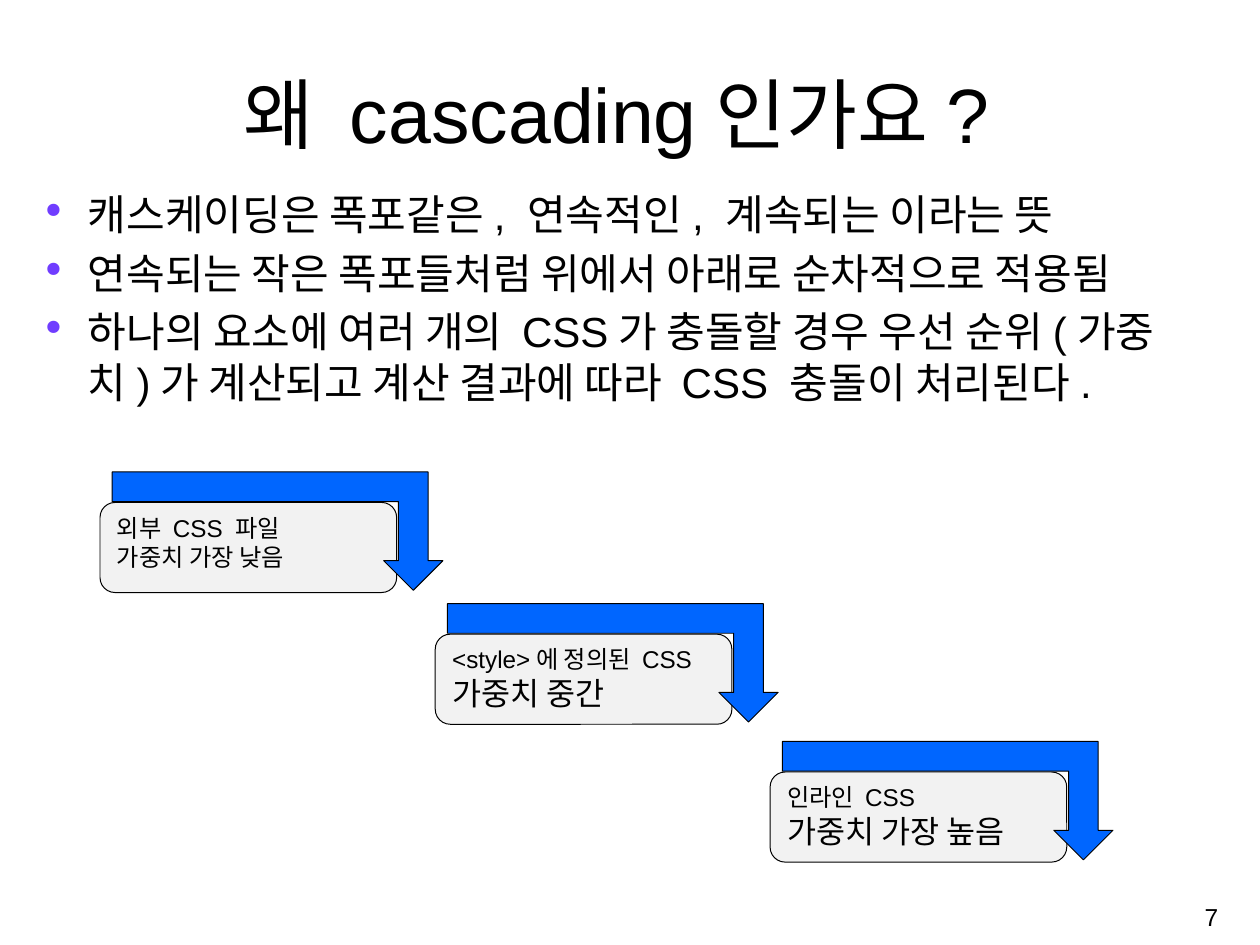
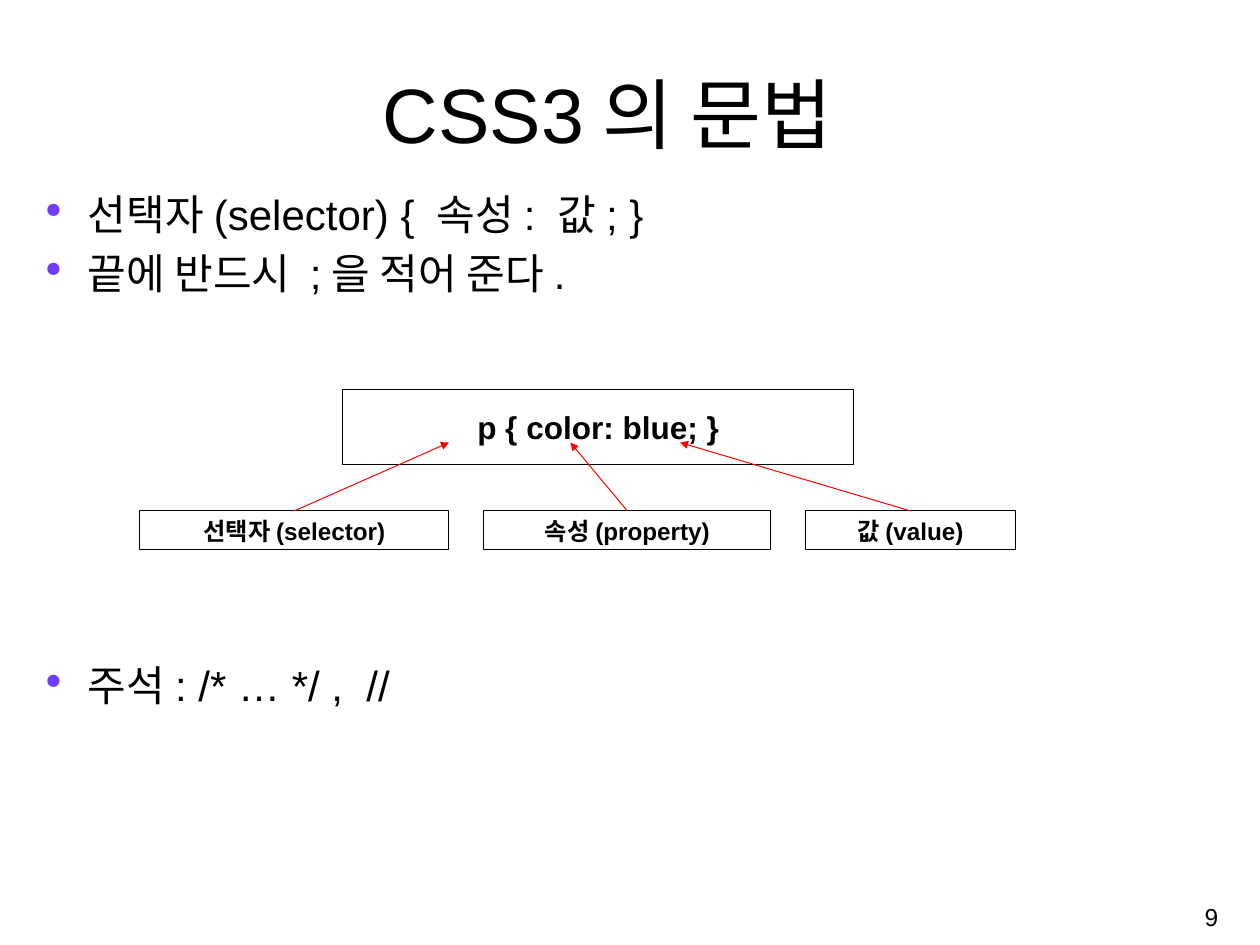
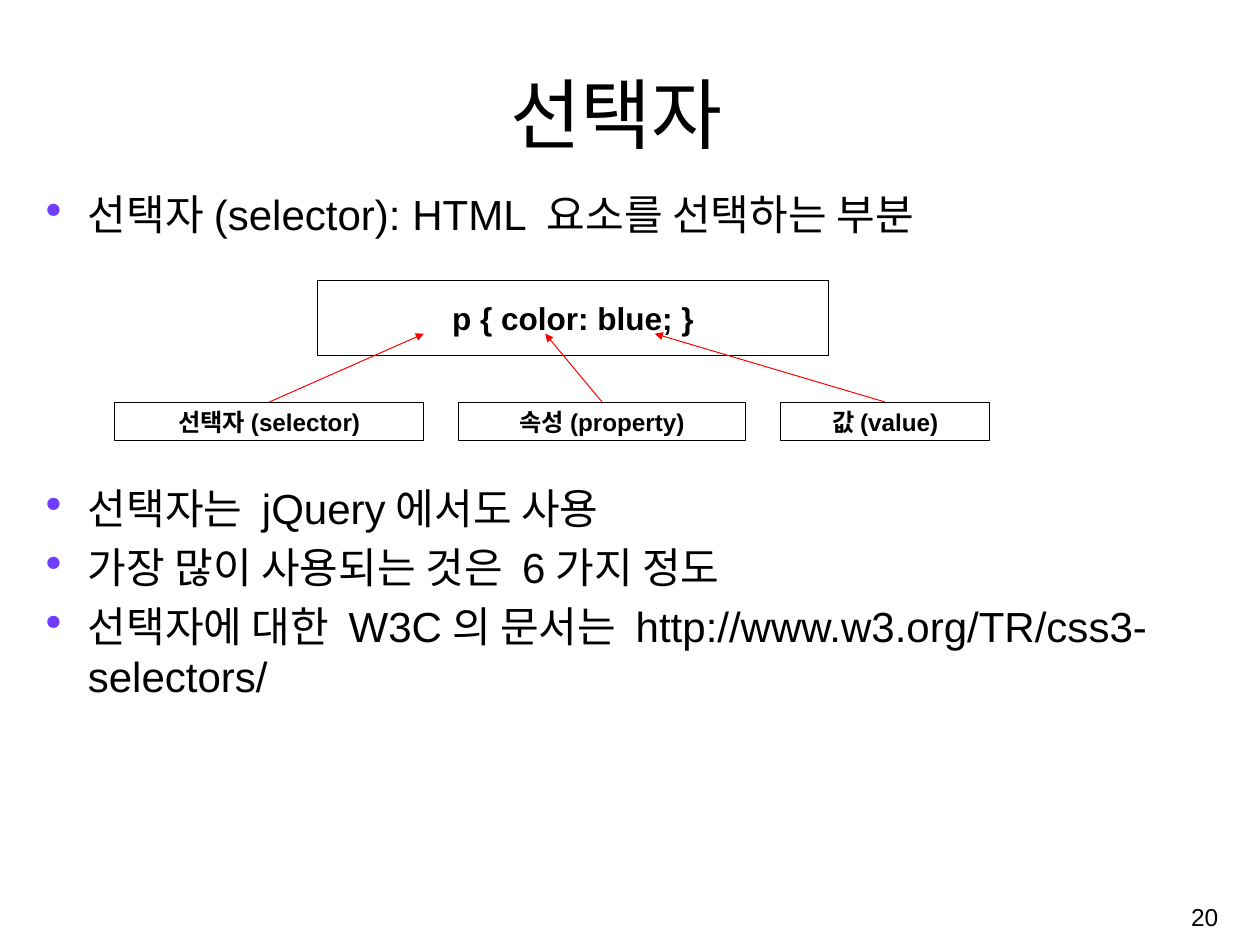
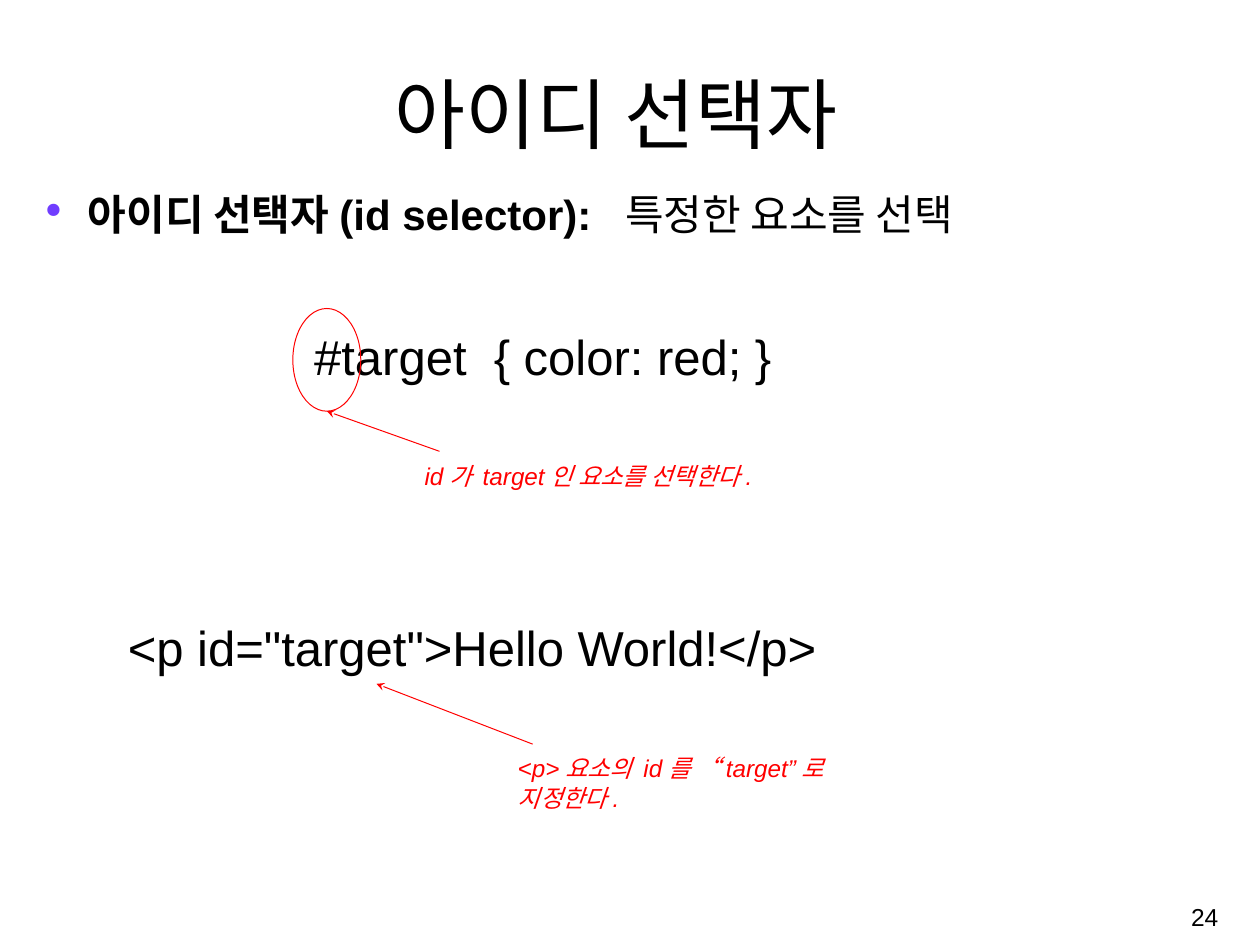
from lxml import etree
from pptx import Presentation
from pptx import util as u
from pptx.dml.color import RGBColor
from pptx.enum import shapes, text
from pptx.oxml.ns import qn

hues = {"ink": "000000", "red": "FF0000", "blue": "0066FF",
        "pale": "F2F2F2", "dot": "703DFF"}
font = "Arial"
kinds = shapes.MSO_SHAPE
left, mid, right = text.PP_ALIGN.LEFT, text.PP_ALIGN.CENTER, text.PP_ALIGN.RIGHT
top, center, low = (text.MSO_ANCHOR.TOP, text.MSO_ANCHOR.MIDDLE,
                    text.MSO_ANCHOR.BOTTOM)


def draw(page, kind, spot, lines=(), size=18, align=left, anchor=top, hue="ink",
         fill=None, line="ink", bold=False, slant=False, pad=(0.25, 0.13)):
    """Add a text box (kind None) or a preset shape; spot is in cm."""
    spot = [u.Cm(n) for n in spot]
    if kind is None:
        box = page.shapes.add_textbox(*spot)
    else:
        box = page.shapes.add_shape(kind, *spot)
        box.shadow.inherit = False
        box.line.color.rgb = RGBColor.from_string(hues[line])
        box.line.width = u.Pt(0.75)
        if fill:
            box.fill.solid()
            box.fill.fore_color.rgb = RGBColor.from_string(hues[fill])
        else:
            box.fill.background()
    frame = box.text_frame
    frame.word_wrap = True
    frame.vertical_anchor = anchor
    frame.margin_left = frame.margin_right = u.Cm(pad[0])
    frame.margin_top = frame.margin_bottom = u.Cm(pad[1])
    frame.text = "\n".join(lines)
    for para in frame.paragraphs:
        para.alignment = align
        for run in para.runs:
            run.font.name = font
            run.font.size = u.Pt(size)
            run.font.bold = bold
            run.font.italic = slant
            run.font.color.rgb = RGBColor.from_string(hues[hue])
    return box


def arrow(page, start, end, head):
    """Add a thin red arrow from start to end, in cm."""
    link = page.shapes.add_connector(shapes.MSO_CONNECTOR.STRAIGHT,
                                     *[u.Cm(n) for n in start + end])
    link.line.color.rgb = RGBColor.from_string(hues["red"])
    link.line.width = u.Pt(0.75)
    etree.SubElement(link.line._get_or_add_ln(), qn("a:tailEnd"), type=head)
    etree.SubElement(link._element.spPr, qn("a:effectLst"))
    return link


deck = Presentation()
deck.slide_width, deck.slide_height = u.Cm(33), u.Cm(24.75)

# Title, page number and bullets (space before in points, text)
near = 6.2
plan = [
    ("왜 cascading인가요?", 7, [
        (0, "캐스케이딩은 폭포같은, 연속적인, 계속되는 이라는 뜻"),
        (near, "연속되는 작은 폭포들처럼 위에서 아래로 순차적으로 적용됨"),
        (near, "하나의 요소에 여러 개의 CSS가 충돌할 경우 우선 순위(가중치)가 "
               "계산되고 계산 결과에 따라 CSS 충돌이 처리된다.")]),
    ("CSS3의 문법 ", 9, [
        (0, "선택자(selector) { 속성: 값; }"),
        (near, "끝에 반드시 ;을 적어 준다."),
        (269, "주석: /* … */ ,  //")]),
    ("선택자", 20, [
        (0, "선택자(selector): HTML 요소를 선택하는 부분"),
        (181, "선택자는 jQuery에서도 사용"),
        (near, "가장 많이 사용되는 것은 6가지 정도"),
        (near, "선택자에 대한 W3C의 문서는 http://www.w3.org/TR/css3-selectors/")]),
    ("아이디 선택자", 24, [(0, "아이디 선택자(id selector):  ")]),
]
pages, bodies = [], []
for title, num, items in plan:
    page = deck.slides.add_slide(deck.slide_layouts[6])
    draw(page, None, (2.67, 1.55, 26.95, 2.74), [title], 57.2, mid, low)
    body = draw(page, None, (0.81, 4.8, 31.29, 17.93),
                [item for gap, item in items], 31.2)
    for para, (gap, item) in zip(body.text_frame.paragraphs, items):
        para.space_before = u.Pt(gap)
        props = para._p.get_or_add_pPr()
        props.set("marL", str(u.Cm(1.24)))
        props.set("indent", str(-u.Cm(1.24)))
        tint = etree.SubElement(props, qn("a:buClr"))
        etree.SubElement(tint, qn("a:srgbClr"), val=hues["dot"])
        etree.SubElement(props, qn("a:buChar"), char="∙")
    draw(page, None, (25.35, 23.24, 6.81, 1.52), [str(num)], 18.2, right, center)
    pages.append(page)
    bodies.append(body)

# Cascade: three steps, each with a bent arrow
steps = [
    (2.62, 13.16, ["외부 CSS 파일", "가중치 가장 낮음"], 18),
    (11.4, 16.61, ["<style>에 정의된 CSS", "가중치 중간"], 23.4),
    (20.17, 20.22, ["인라인 CSS", "가중치 가장 높음"], 23.4),
]
for x, y, lines, size in steps:
    step = draw(pages[0], kinds.ROUNDED_RECTANGLE, (x, y, 7.77, 2.36), lines,
                fill="pale", pad=(0.33, 0.16))
    step.text_frame.paragraphs[1].runs[0].font.size = u.Pt(size)
for x, y, lines, size in steps:
    bend = draw(pages[0], kinds.BENT_UP_ARROW, (x + 0.32, y - 0.8, 8.66, 3.1),
                fill="blue")
    bend.rotation = 180
    bend._element.spPr.xfrm.set("flipH", "1")

# Rule diagram: code box, labels (text, width, arrow target from code box)
labels = [("선택자(selector)", 8.1, 2.79), ("속성(property)", 7.52, 5.97),
          ("값(value)", 5.49, 8.84)]
for page, x, y in [(pages[1], 8.97, 10.19), (pages[2], 8.31, 7.34)]:
    draw(page, kinds.RECTANGLE, (x, y, 13.39, 1.98), ["p { color: blue; }"],
         23.4, mid, center, bold=True, pad=(0.33, 0.16))
    edge, rise = x - 5.31, y + 3.19
    for label, wide, aim in labels:
        tag = draw(page, kinds.RECTANGLE, (edge, rise, wide, 1.02), [label],
                   align=mid, bold=True)
        link = arrow(page, (edge + wide / 2, rise), (x + aim, y + 1.4), "triangle")
        link.begin_connect(tag, 0)
        edge += wide + 0.91

# Id selector: plain end of the bullet, code samples, red notes
page = pages[3]
lead = bodies[3].text_frame.paragraphs[0]
lead.runs[0].font.bold = True
rest = lead.add_run()
rest.text = "특정한 요소를 선택"
rest.font.name, rest.font.size = font, u.Pt(31.2)
rest.font.color.rgb = RGBColor.from_string(hues["ink"])

draw(page, None, (7.98, 8.43, 16.1, 1.8), ["#target  { color: red; }"], 36.4)
draw(page, None, (3.1, 16.03, 20.68, 1.8), ['<p id="target">Hello World!</p>'], 36.4)
draw(page, kinds.OVAL, (7.67, 8.08, 1.78, 2.69), line="red")
notes = [
    ((10.87, 11.94, 9.14, 1.02), "id가 target인 요소를 선택한다.", (8.56, 10.77)),
    ((13.31, 19.61, 10.69, 1.02), "<p>요소의 id를 “target”로 지정한다.", (9.86, 17.91)),
]
for spot, note, aim in notes:
    draw(page, None, spot, [note], hue="red", slant=True)
    arrow(page, (spot[0] + 0.64, spot[1] - 0.12), aim, "stealth")

deck.save("out.pptx")
